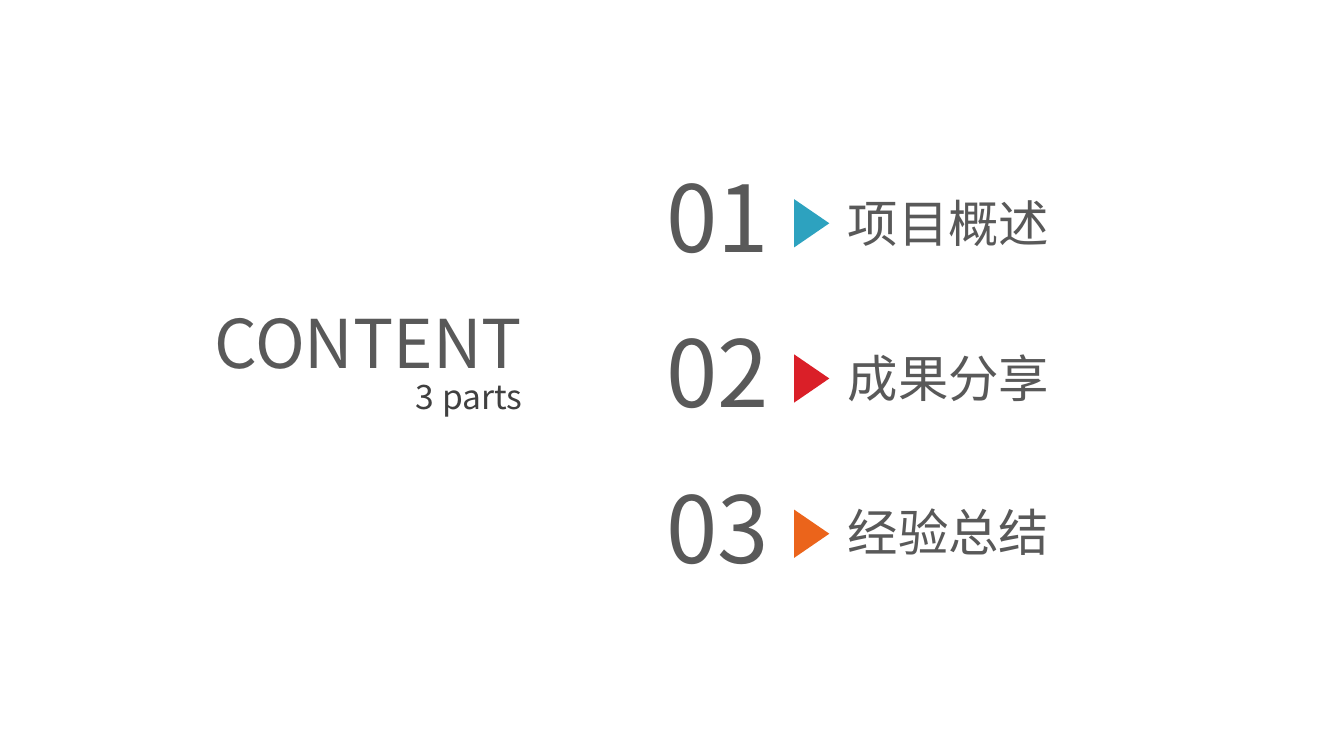
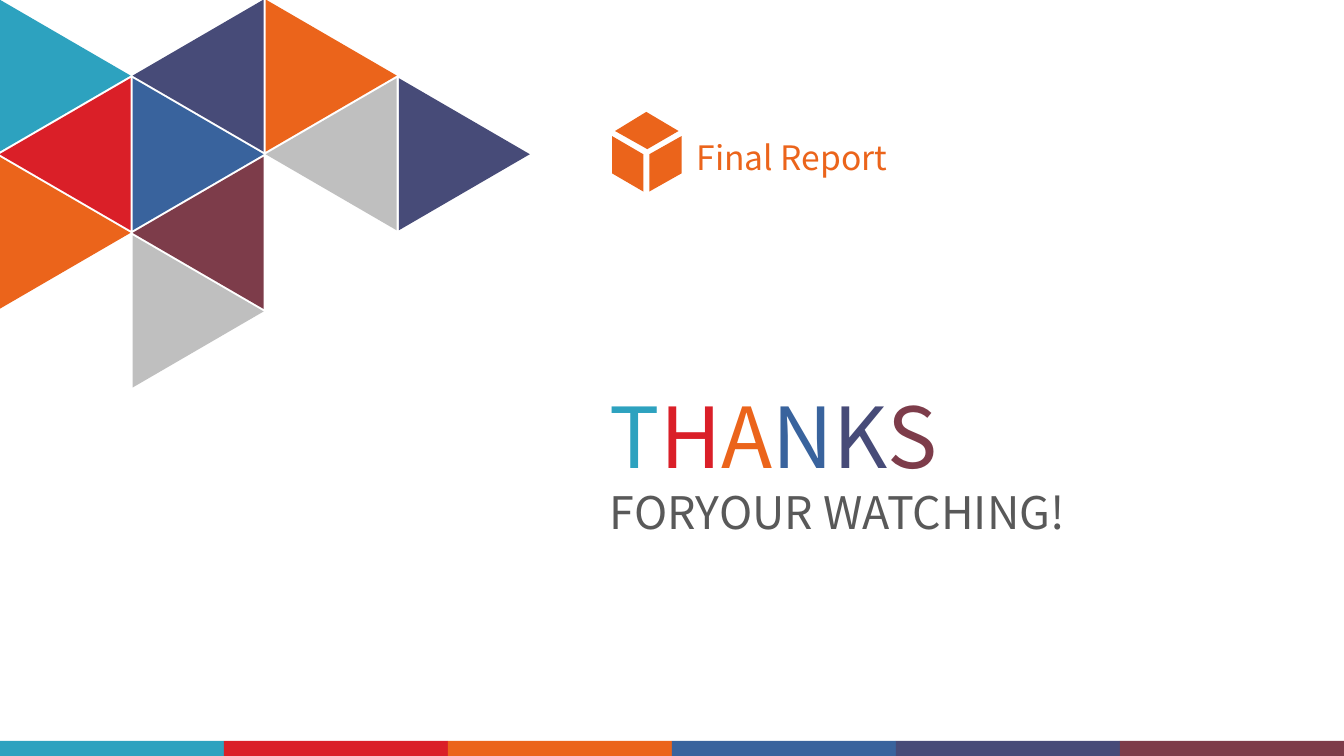
from lxml import etree
from pptx import Presentation
from pptx.dml.color import RGBColor
from pptx.enum import shapes, text
from pptx.oxml.ns import qn
from pptx.util import Inches, Pt

FONT = "Noto Sans CJK SC"
COLORS = {
    "teal": "2DA2BF", "red": "DA1F28", "orange": "EB641B",
    "blue": "39639D", "indigo": "474B78", "wine": "7D3C4A",
    "silver": "BFBFBF", "gray": "595959", "dark": "404040",
}
RAINBOW = ["teal", "red", "orange", "blue", "indigo", "wine"]


def add_text(slide, box, paragraphs, align=text.PP_ALIGN.LEFT, title=False):
    """Fill the title or a new text box with (text, size, color) paragraphs."""
    box = [Inches(v) for v in box]
    if title:
        sp = slide.shapes.title
        sp.left, sp.top, sp.width, sp.height = box
    else:
        sp = slide.shapes.add_textbox(*box)
    tf = sp.text_frame
    tf.word_wrap = True
    tf.auto_size = text.MSO_AUTO_SIZE.NONE
    tf.vertical_anchor = text.MSO_ANCHOR.TOP
    for i, (words, size, color) in enumerate(paragraphs):
        p = tf.add_paragraph() if i else tf.paragraphs[0]
        p.text = words
        p.alignment = align
        p.font.name, p.font.size = FONT, Pt(size)
        p.font.color.rgb = RGBColor.from_string(COLORS[color])
        # East Asian characters take their typeface from a:ea
        props = p._p.pPr.find(qn("a:defRPr"))
        etree.SubElement(props, qn("a:ea"), typeface=FONT)
    return tf


def paint(sp, color, rotation=0):
    """Give a shape a flat fill without outline or shadow."""
    sp.fill.solid()
    sp.fill.fore_color.rgb = RGBColor.from_string(COLORS[color])
    sp.line.fill.background()
    sp.shadow.inherit = False
    sp.rotation = rotation


prs = Presentation()
prs.slide_width, prs.slide_height = Inches(13.33), Inches(7.5)
title_only = prs.slide_layouts[5]
TRIANGLE = shapes.MSO_SHAPE.ISOSCELES_TRIANGLE

# Agenda: heading
slide = prs.slides.add_slide(title_only)
right = text.PP_ALIGN.RIGHT
add_text(slide, (1.82, 2.94, 3.46, 0.91), [("CONTENT", 48, "gray")], right, title=True)
add_text(slide, (0.6, 3.68, 4.68, 0.5), [("3 parts", 24, "dark")], right)

# Agenda: numbered parts
parts = ["项目概述", "成果分享", "经验总结"]
for i, (part, color) in enumerate(zip(parts, RAINBOW)):
    dy = 1.54 * i
    sp = slide.shapes.add_shape(
        TRIANGLE, Inches(7.81), Inches(2.04 + dy), Inches(0.48), Inches(0.35))
    paint(sp, color, 90)
    add_text(slide, (6.51, 1.54 + dy, 1.36, 1.21), [(f"{i + 1:02}", 66, "gray")])
    add_text(slide, (8.31, 1.86 + 1.53 * i, 4.5, 0.71), [(part, 36, "gray")])

# Closing: triangle mosaic as (column, row, color), pointing right or left in turn
slide = prs.slides.add_slide(title_only)
mosaic = [
    (0, 0, "teal"), (0, 1, "red"), (0, 2, "orange"),
    (1, 0, "indigo"), (1, 1, "blue"), (1, 2, "wine"), (1, 3, "silver"),
    (2, 0, "orange"), (2, 1, "silver"), (3, 1, "indigo"),
]
column_step, row_step = 1.32, 0.78
for col, row, color in mosaic:
    sp = slide.shapes.add_shape(
        TRIANGLE, Inches(-0.11 + column_step * col), Inches(0.1 + row_step * row),
        Inches(1.51), Inches(1.3))
    paint(sp, color, 270 if (col + row) % 2 else 90)

# Closing: color band along the bottom
band_width = 13.33 / len(RAINBOW)
for i, color in enumerate(RAINBOW):
    sp = slide.shapes.add_shape(
        shapes.MSO_SHAPE.RECTANGLE, Inches(band_width * i), Inches(7.35),
        Inches(band_width), Inches(0.15))
    paint(sp, color)

# Closing: thanks, one color per letter
tf = add_text(slide, (5.95, 3.76, 5.73, 1.65),
              [("", 60, "gray"), ("FORYOUR WATCHING!", 32, "gray")], title=True)
for letter, color in zip("THANKS", RAINBOW):
    r = tf.paragraphs[0].add_run()
    r.text = letter
    r.font.color.rgb = RGBColor.from_string(COLORS[color])

# Closing: report name with box icon, whose faces are in hundredths of an inch
add_text(slide, (6.81, 1.31, 4.4, 0.5), [("Final Report", 24, "orange")])
faces = [
    [(641, 111), (610, 130), (642, 148), (673, 130)],
    [(607, 172), (638, 190), (638, 153), (607, 135)],
    [(644, 153), (644, 190), (676, 172), (676, 135)],
]
builder = slide.shapes.build_freeform(*faces[0][0], scale=Inches(0.01))
for i, face in enumerate(faces):
    if i:
        builder.move_to(*face[0])
    builder.add_line_segments(face[1:], close=True)
sp = builder.convert_to_shape()
paint(sp, "orange")

prs.save("out.pptx")
